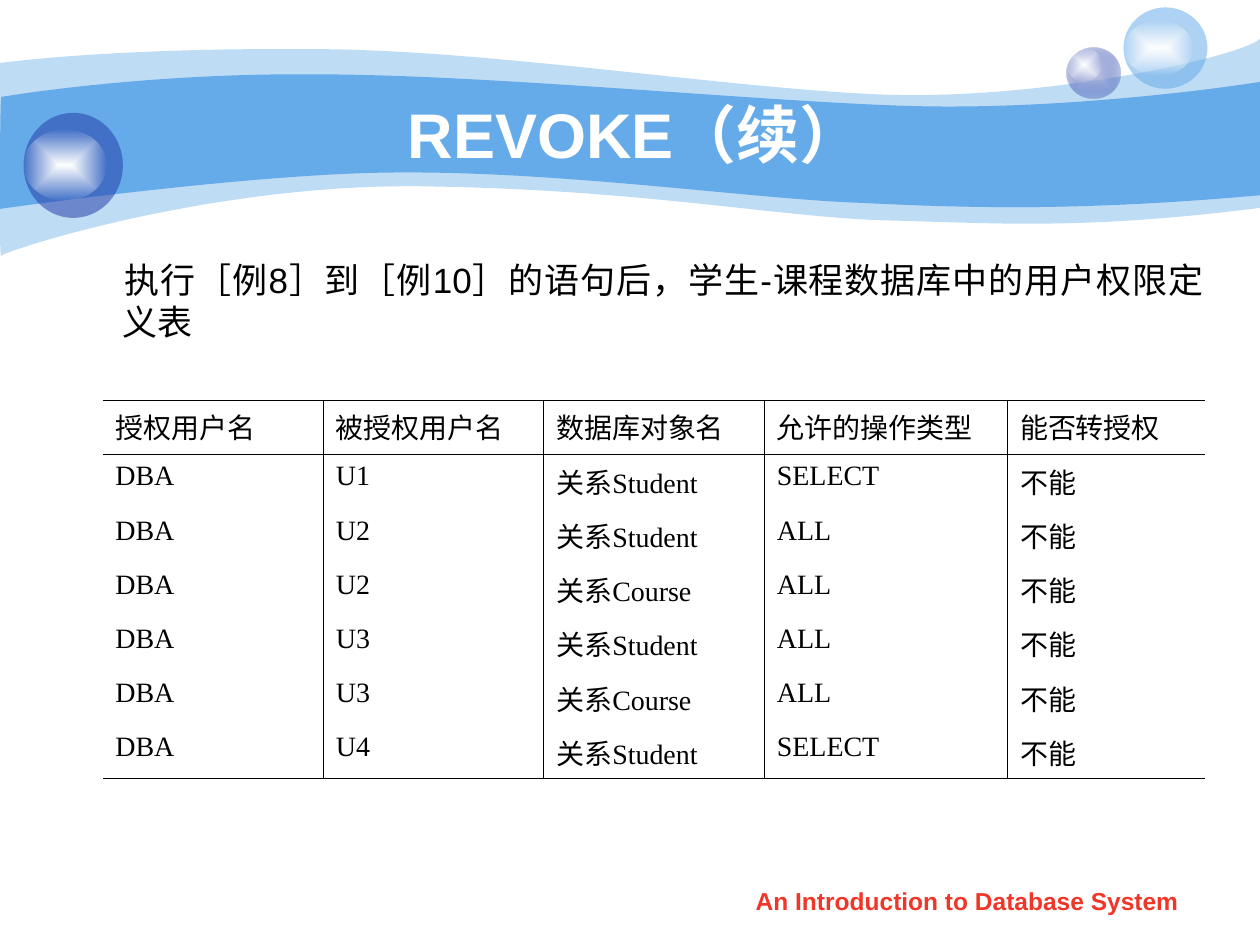
from dataclasses import dataclass

from lxml.etree import SubElement
from pptx import Presentation
from pptx.dml.color import RGBColor
from pptx.enum.shapes import MSO_SHAPE
from pptx.enum.text import MSO_ANCHOR, MSO_AUTO_SIZE, PP_ALIGN
from pptx.oxml import parse_xml
from pptx.oxml.ns import nsdecls, qn
from pptx.util import Pt


@dataclass(frozen=True)
class Theme:
    sky: str = "65AAE9"
    navy: str = "233DA9"
    lilac: str = "C6CCE8"
    white: str = "FFFFFF"
    glow_edge: str = "FEFEFE"
    ink: str = "000000"
    red: str = "F03628"
    sans: str = "Arial"
    serif: str = "Times New Roman"
    title_size: int = 36
    body_size: int = 20
    cell_size: int = 16
    footer_size: int = 14
    rule_width: float = 0.45


THEME = Theme()

OUTER_WAVE = [
    [(0, 36), (17.3, 33.8), (77, 27.4), (177.8, 28.1), (277.9, 28.1),
     (414, 50.4), (503.3, 54), (591.8, 57.6), (705.6, 33.8), (720, 22.3)],
    [(720, 118.8), (617.8, 131.8), (566.6, 127.4), (507.6, 126), (447.8, 124.6),
     (370.8, 108.7), (247, 106.6), (123.8, 103.7), (2.9, 143.3), (0.7, 146.2),
     (-0.7, 149.8), (0, 54), (0, 36)],
]
INNER_WAVE = [
    [(0.7, 55.4), (1.4, 55.4), (79.2, 41.8), (178.6, 42.5), (277.9, 42.5),
     (428.4, 57.6), (517, 60.5), (605.5, 63.4), (702.7, 49.7), (720, 46.8)],
    [(720, 111.6), (614.2, 121), (550.8, 118.8), (491, 115.9), (431.3, 113.8),
     (321.8, 97.9), (228.2, 98.6), (146.2, 98.6), (-1.4, 119.5), (-0.7, 119.5),
     (0, 119.5), (0, 55.4), (0.7, 55.4)],
]

PRIVILEGES = [
    ("授权用户名", "被授权用户名", "数据库对象名", "允许的操作类型", "能否转授权"),
    ("DBA", "U1", "关系Student", "SELECT", "不能"),
    ("DBA", "U2", "关系Student", "ALL", "不能"),
    ("DBA", "U2", "关系Course", "ALL", "不能"),
    ("DBA", "U3", "关系Student", "ALL", "不能"),
    ("DBA", "U3", "关系Course", "ALL", "不能"),
    ("DBA", "U4", "关系Student", "SELECT", "不能"),
]
COLUMN_WIDTHS = (126, 126, 126, 139, 113)
ROW_HEIGHTS = (31,) * 6 + (28,)


def apply_format(target, values):
    for attribute, value in values.items():
        setattr(target, attribute, value)


def place(element, left, top, width, height):
    box = dict(left=left, top=top, width=width, height=height)
    apply_format(element, {side: Pt(length) for side, length in box.items()})


def write_text(frame, text, size, face, color, bold=False, **paragraph_format):
    paragraph = frame.paragraphs[0]
    apply_format(paragraph, paragraph_format)
    run = paragraph.add_run()
    run.text = text
    apply_format(run.font, dict(size=Pt(size), name=face, bold=bold))
    run.font.color.rgb = RGBColor.from_string(color)
    return paragraph


def fill_solid(shape, color, opacity=100):
    shape.shadow.inherit = False
    shape.line.fill.background()
    shape.fill.solid()
    shape.fill.fore_color.rgb = RGBColor.from_string(color)
    if opacity < 100:
        tint = shape.fill._xPr.find(qn("a:solidFill"))[0]
        SubElement(tint, qn("a:alpha"), val=str(opacity * 1000))


def fill_glow(shape, center, edge, edge_opacity):
    fill_solid(shape, center)
    solid = shape.fill._xPr.find(qn("a:solidFill"))
    glow = parse_xml(
        f'<a:gradFill {nsdecls("a")} rotWithShape="1"><a:gsLst>'
        f'<a:gs pos="0"><a:srgbClr val="{center}"/></a:gs>'
        f'<a:gs pos="100000"><a:srgbClr val="{edge}">'
        f'<a:alpha val="{edge_opacity * 1000}"/></a:srgbClr></a:gs></a:gsLst>'
        '<a:path path="rect"><a:fillToRect l="50000" t="50000" r="50000" b="50000"/>'
        '</a:path></a:gradFill>')
    solid.getparent().replace(solid, glow)


def bend_segments(segments):
    for first in range(0, len(segments), 3):
        curve = SubElement(segments[first].getparent(), qn("a:cubicBezTo"))
        segments[first].addprevious(curve)
        for segment in segments[first:first + 3]:
            curve.append(segment[0])
            segment.getparent().remove(segment)


def add_wave(slide, edges, opacity):
    upper, lower = edges
    knots = [(Pt(x), Pt(y)) for x, y in upper + lower]
    builder = slide.shapes.build_freeform(*knots[0])
    builder.add_line_segments(knots[1:], close=True)
    wave = builder.convert_to_shape()
    segments = list(wave._element.iter(qn("a:lnTo")))[:len(knots) - 1]
    bend_segments(segments[:len(upper) - 1])
    bend_segments(segments[len(upper):])
    fill_solid(wave, THEME.sky, opacity)


def add_bubble(slide, ball_bounds, highlight_bounds, fill_ball, *colors):
    group = slide.shapes.add_group_shape()
    ball, highlight = (group.shapes.add_shape(MSO_SHAPE.OVAL, *map(Pt, bounds))
                       for bounds in (ball_bounds, highlight_bounds))
    fill_ball(ball, *colors)
    fill_glow(highlight, THEME.white, THEME.glow_edge, 0)


def add_bubbles(slide):
    add_bubble(slide, (609.5, 27, 31, 29.25), (609.5, 27, 20, 19.5),
               fill_glow, THEME.lilac, THEME.navy, 31)
    add_bubble(slide, (642, 4.25, 48, 46.5), (642, 12, 40, 31),
               fill_solid, THEME.sky, 53)
    add_bubble(slide, (13.5, 64.5, 56.75, 60), (13.5, 74.25, 47.5, 40.25),
               fill_solid, THEME.navy, 53)


def fill_placeholders(slide):
    title, body = slide.placeholders
    for holder in (title, body):
        slide.shapes._spTree.append(holder._element)
        apply_format(holder.text_frame, dict(word_wrap=True, auto_size=MSO_AUTO_SIZE.NONE))
    place(title, 72, 53.5, 582, 45)
    title.text_frame.vertical_anchor = MSO_ANCHOR.MIDDLE
    write_text(title.text_frame, "REVOKE（续）", THEME.title_size, THEME.sans,
               THEME.white, bold=True, alignment=PP_ALIGN.CENTER)
    place(body, 36, 144, 659, 86)
    intro = write_text(
        body.text_frame,
        "执行［例8］到［例10］的语句后，学生-课程数据库中的用户权限定义表",
        THEME.body_size, THEME.sans, THEME.ink,
        alignment=PP_ALIGN.JUSTIFY, space_before=Pt(9))
    properties = intro._p.get_or_add_pPr()
    for attribute, indent in dict(marL=27, indent=1).items():
        properties.set(attribute, str(Pt(indent)))
    SubElement(properties, qn("a:buNone"))


def rule_cell(cell, ruled_sides):
    properties = cell._tc.get_or_add_tcPr()
    for side in "LRTB":
        rule = SubElement(properties, qn(f"a:ln{side}"), w=str(Pt(THEME.rule_width)))
        if side in ruled_sides:
            ink = SubElement(rule, qn("a:solidFill"))
            SubElement(ink, qn("a:srgbClr"), val=THEME.ink)
        else:
            SubElement(rule, qn("a:noFill"))


def add_privilege_table(slide):
    rows, columns = len(PRIVILEGES), len(COLUMN_WIDTHS)
    bounds = (58.75, 228.75, sum(COLUMN_WIDTHS), sum(ROW_HEIGHTS))
    table = slide.shapes.add_table(rows, columns, *map(Pt, bounds)).table
    apply_format(table, dict(first_row=False, horz_banding=False))
    for column, width in zip(table.columns, COLUMN_WIDTHS):
        column.width = Pt(width)
    for r, (row, height) in enumerate(zip(table.rows, ROW_HEIGHTS)):
        row.height = Pt(height)
        for c, cell in enumerate(row.cells):
            write_text(cell.text_frame, PRIVILEGES[r][c], THEME.cell_size,
                       THEME.serif, THEME.ink)
            ruled = {"L": c > 0, "R": c < columns - 1,
                     "T": r in (0, 1), "B": r in (0, rows - 1)}
            rule_cell(cell, [side for side, shown in ruled.items() if shown])
            cell.fill.background()


def add_footer(slide):
    footer = slide.shapes.add_textbox(Pt(410.75), Pt(502.5), Pt(284), Pt(25))
    footer.text_frame.word_wrap = True
    write_text(footer.text_frame, "An Introduction to Database System",
               THEME.footer_size, THEME.sans, THEME.red, bold=True,
               alignment=PP_ALIGN.CENTER)


def main():
    deck = Presentation()
    apply_format(deck, dict(slide_width=Pt(720), slide_height=Pt(540)))
    slide = deck.slides.add_slide(deck.slide_layouts[1])
    add_wave(slide, OUTER_WAVE, 41)
    add_wave(slide, INNER_WAVE, 100)
    add_bubbles(slide)
    fill_placeholders(slide)
    add_privilege_table(slide)
    add_footer(slide)
    deck.save("out.pptx")


if __name__ == "__main__":
    main()
